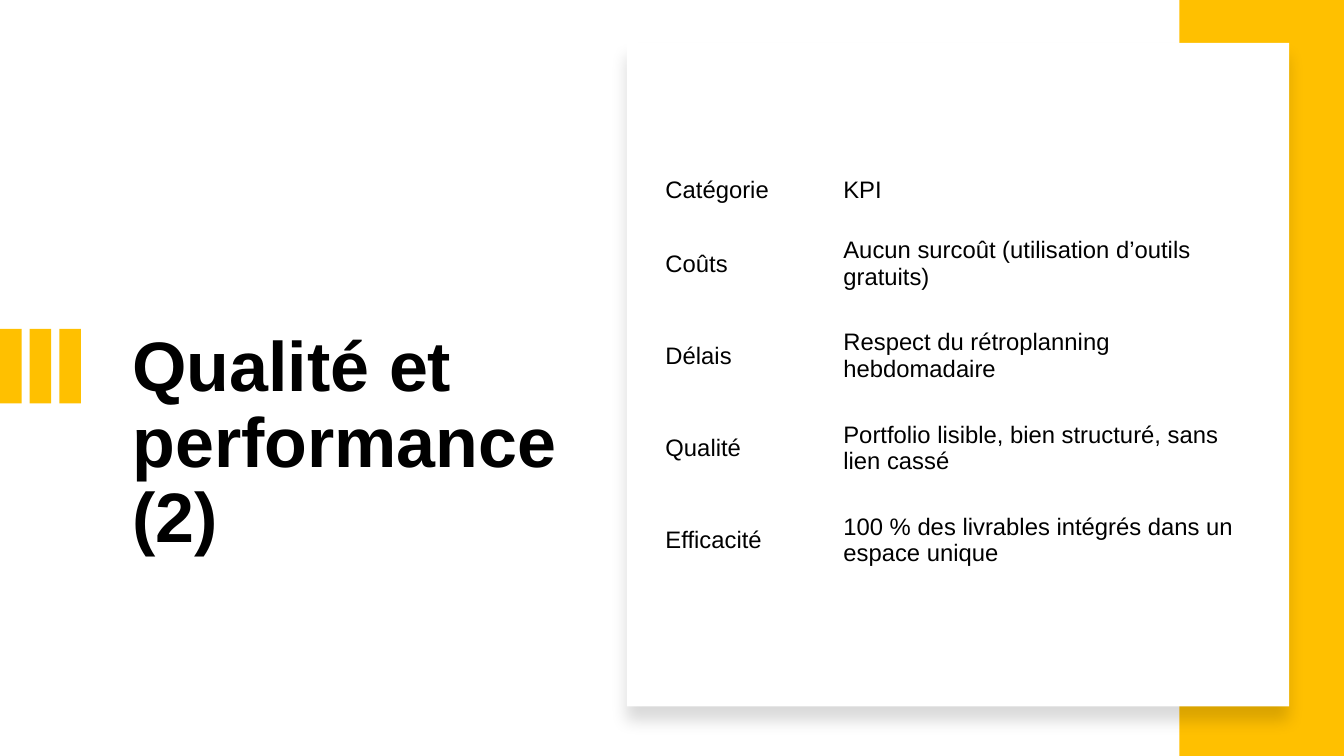
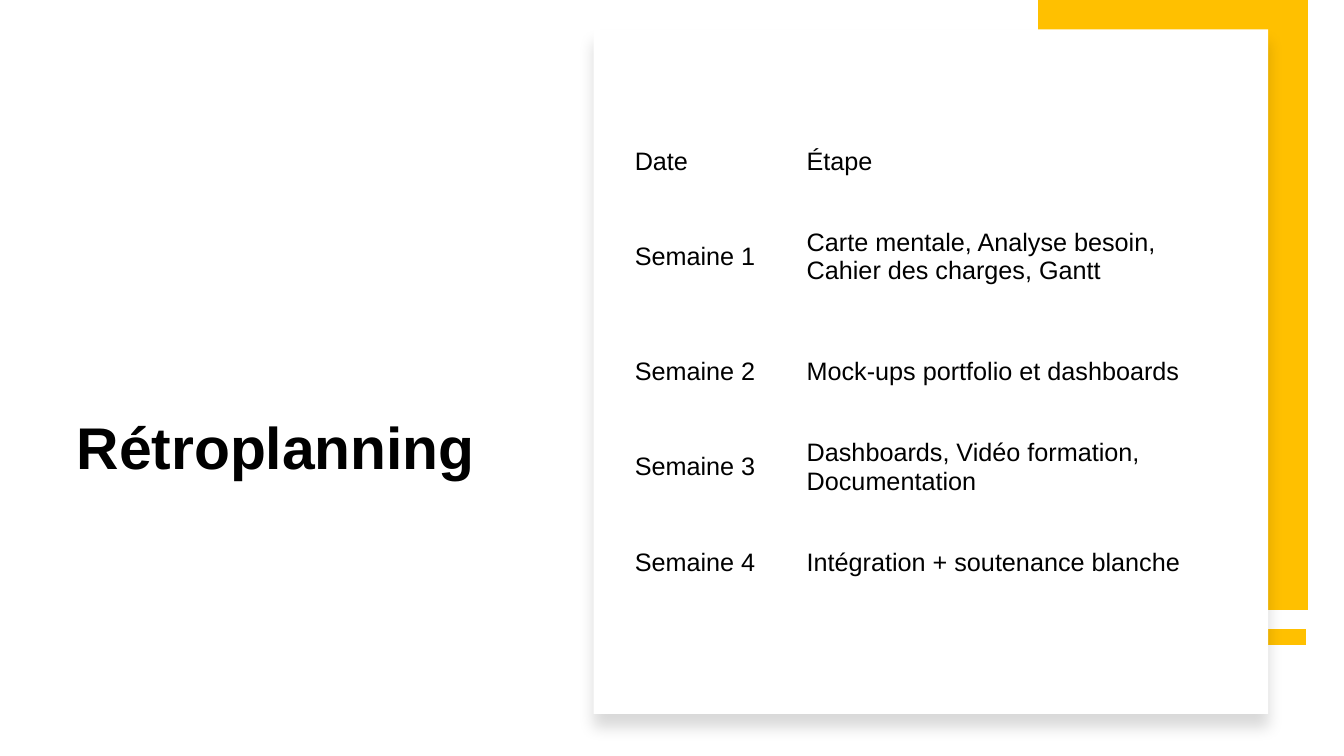
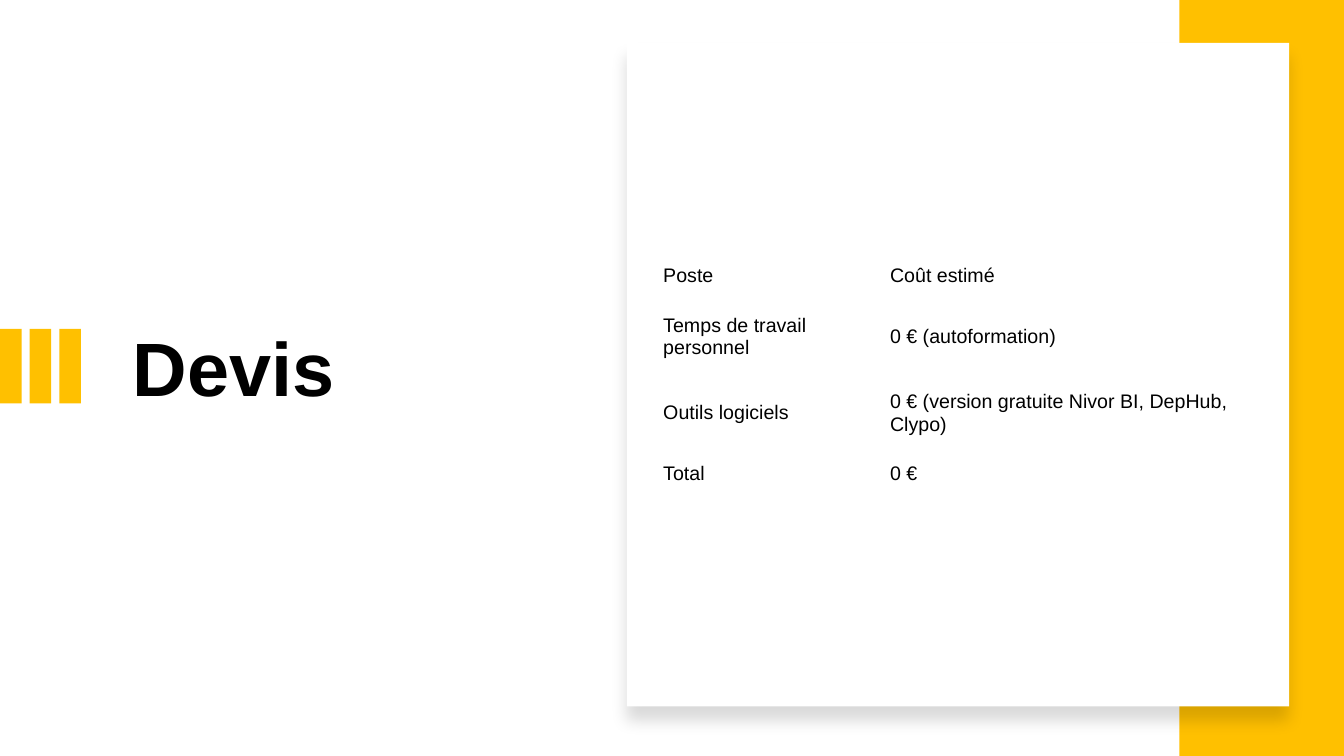
from dataclasses import dataclass

from lxml import etree
from pptx import Presentation
from pptx.dml.color import RGBColor
from pptx.enum.shapes import MSO_CONNECTOR, MSO_SHAPE
from pptx.enum.text import MSO_ANCHOR, MSO_AUTO_SIZE, PP_ALIGN
from pptx.oxml.ns import qn
from pptx.shapes.autoshape import Shape
from pptx.shapes.shapetree import GroupShapes, SlideShapes
from pptx.slide import Slide
from pptx.text.text import TextFrame
from pptx.util import Pt

AMBER = RGBColor(0xFF, 0xC0, 0x00)
WHITE = RGBColor(0xFF, 0xFF, 0xFF)
BLACK = RGBColor(0x00, 0x00, 0x00)
FONT = "Arial"
RECTANGLE = MSO_SHAPE.RECTANGLE
STRAIGHT = MSO_CONNECTOR.STRAIGHT
TOP, MIDDLE, BOTTOM = MSO_ANCHOR.TOP, MSO_ANCHOR.MIDDLE, MSO_ANCHOR.BOTTOM
LEFT = PP_ALIGN.LEFT
NO_AUTOFIT = MSO_AUTO_SIZE.NONE
TITLE_ONLY = 5
SLIDE_WIDTH, SLIDE_HEIGHT = 960, 540


@dataclass(frozen=True)
class Box:
    left: float
    top: float
    width: float
    height: float


@dataclass(frozen=True)
class Style:
    title: Box
    anchor: MSO_ANCHOR
    panel: Box
    barred: bool


@dataclass(frozen=True)
class Grid:
    left: float
    top: float
    columns: tuple[float, ...]
    heights: tuple[float, ...]
    size: float
    margin: float
    rows: tuple[tuple[str, str], ...]


@dataclass(frozen=True)
class Page:
    title: str
    title_size: float
    style: Style
    grid: Grid


BARRED = Style(Box(87.5, 233, 324, 188), TOP, Box(447.84, 30.7, 473, 473.8), True)
FRAMED = Style(Box(47.5, 53.3, 328.3, 294.5), BOTTOM, Box(424.1, 21, 481.7, 489), False)

PAGES = (
    Page("Qualité et performance (2)", 50, BARRED, Grid(
        466.56, 116.64, (127.1, 308.9), (38.9, 65.8, 65.8, 65.8, 65.8), 17, 8.8, (
            ("Catégorie", "KPI"),
            ("Coûts", "Aucun surcoût (utilisation d’outils gratuits)"),
            ("Délais", "Respect du rétroplanning hebdomadaire"),
            ("Qualité", "Portfolio lisible, bien structuré, sans lien cassé"),
            ("Efficacité", "100 % des livrables intégrés dans un espace unique"),
        ))),
    Page("Rétroplanning", 42, FRAMED, Grid(
        444.24, 95.04, (122.8, 318.6), (40.3, 95.8, 68.4, 68.4, 68.4), 18, 9.2, (
            ("Date", "Étape"),
            ("Semaine 1", "Carte mentale, Analyse besoin, Cahier des charges, Gantt"),
            ("Semaine 2", "Mock-ups portfolio et dashboards"),
            ("Semaine 3", "Dashboards, Vidéo formation, Documentation"),
            ("Semaine 4", "Intégration + soutenance blanche"),
        ))),
    Page("Devis", 54, BARRED, Grid(
        466.56, 180.72, (162, 273.6), (32.4, 54.7, 54.7, 32.4), 14, 7.2, (
            ("Poste", "Coût estimé"),
            ("Temps de travail personnel", "0 € (autoformation)"),
            ("Outils logiciels", "0 € (version gratuite Nivor BI, DepHub, Clypo)"),
            ("Total", "0 €"),
        ))),
)


def write(frame: TextFrame, text: str, *, size: float, bold: bool = False,
          color: RGBColor = BLACK, spacing: float = 1) -> None:
    paragraph = frame.paragraphs[0]
    paragraph.alignment = LEFT
    paragraph.line_spacing = spacing
    run = paragraph.add_run()
    run.text = text
    run.font.name = FONT
    run.font.size = Pt(size)
    run.font.bold = bold
    run.font.color.rgb = color


def add_rectangle(shapes: SlideShapes | GroupShapes, box: Box, color: RGBColor) -> Shape:
    rectangle = shapes.add_shape(
        RECTANGLE, Pt(box.left), Pt(box.top), Pt(box.width), Pt(box.height))
    rectangle.shadow.inherit = False
    rectangle.fill.solid()
    rectangle.fill.fore_color.rgb = color
    rectangle.line.fill.background()
    return rectangle


def add_title(slide: Slide, page: Page) -> None:
    title, box = slide.shapes.title, page.style.title
    title.left, title.top = Pt(box.left), Pt(box.top)
    title.width, title.height = Pt(box.width), Pt(box.height)
    frame = title.text_frame
    frame.word_wrap = True
    frame.auto_size = NO_AUTOFIT
    frame.vertical_anchor = page.style.anchor
    write(frame, page.title, size=page.title_size, bold=True, spacing=0.9)


def add_bars(slide: Slide) -> None:
    bars = slide.shapes.add_group_shape().shapes
    for index in range(3):
        add_rectangle(bars, Box(index * 21.2, 235, 15.4, 53.2), AMBER)
    add_rectangle(slide.shapes, Box(842.4, 0, SLIDE_WIDTH - 842.4, SLIDE_HEIGHT), AMBER)


def add_frame(slide: Slide) -> None:
    corner = slide.shapes.add_group_shape().shapes
    rule = corner.add_connector(STRAIGHT, Pt(933), Pt(455), Pt(741.6), Pt(455))
    rule.line.color.rgb = AMBER
    rule.line.width = Pt(12)
    etree.SubElement(rule.element.spPr, qn("a:effectLst"))
    add_rectangle(corner, Box(741.6, 0, 192.6, 435.6), AMBER)


def add_panel(slide: Slide, box: Box) -> None:
    panel = add_rectangle(slide.shapes, box, WHITE)
    effects = panel.element.spPr.find(qn("a:effectLst"))
    shadow = etree.SubElement(
        effects, qn("a:outerShdw"), blurRad=str(Pt(11)), dist=str(Pt(10)),
        dir="5400000", algn="t", rotWithShape="0")
    tint = etree.SubElement(shadow, qn("a:srgbClr"), val=str(BLACK))
    etree.SubElement(tint, qn("a:alpha"), val="15000")


def add_grid(slide: Slide, grid: Grid) -> None:
    table = slide.shapes.add_table(
        len(grid.rows), len(grid.columns), Pt(grid.left), Pt(grid.top),
        Pt(sum(grid.columns)), Pt(sum(grid.heights))).table
    table.first_row = table.horz_banding = False
    for column, width in zip(table.columns, grid.columns):
        column.width = Pt(width)
    for row, height, texts in zip(table.rows, grid.heights, grid.rows):
        row.height = Pt(height)
        for cell, text in zip(row.cells, texts):
            cell.fill.background()
            cell.vertical_anchor = MIDDLE
            cell.margin_left = cell.margin_right = Pt(grid.margin)
            cell.margin_top = cell.margin_bottom = Pt(grid.margin / 2)
            write(cell.text_frame, text, size=grid.size)


def main() -> None:
    deck = Presentation()
    deck.slide_width, deck.slide_height = Pt(SLIDE_WIDTH), Pt(SLIDE_HEIGHT)
    for page in PAGES:
        slide = deck.slides.add_slide(deck.slide_layouts[TITLE_ONLY])
        add_title(slide, page)
        if page.style.barred:
            add_bars(slide)
        else:
            add_frame(slide)
        add_panel(slide, page.style.panel)
        add_grid(slide, page.grid)
    deck.save("out.pptx")


if __name__ == "__main__":
    main()
